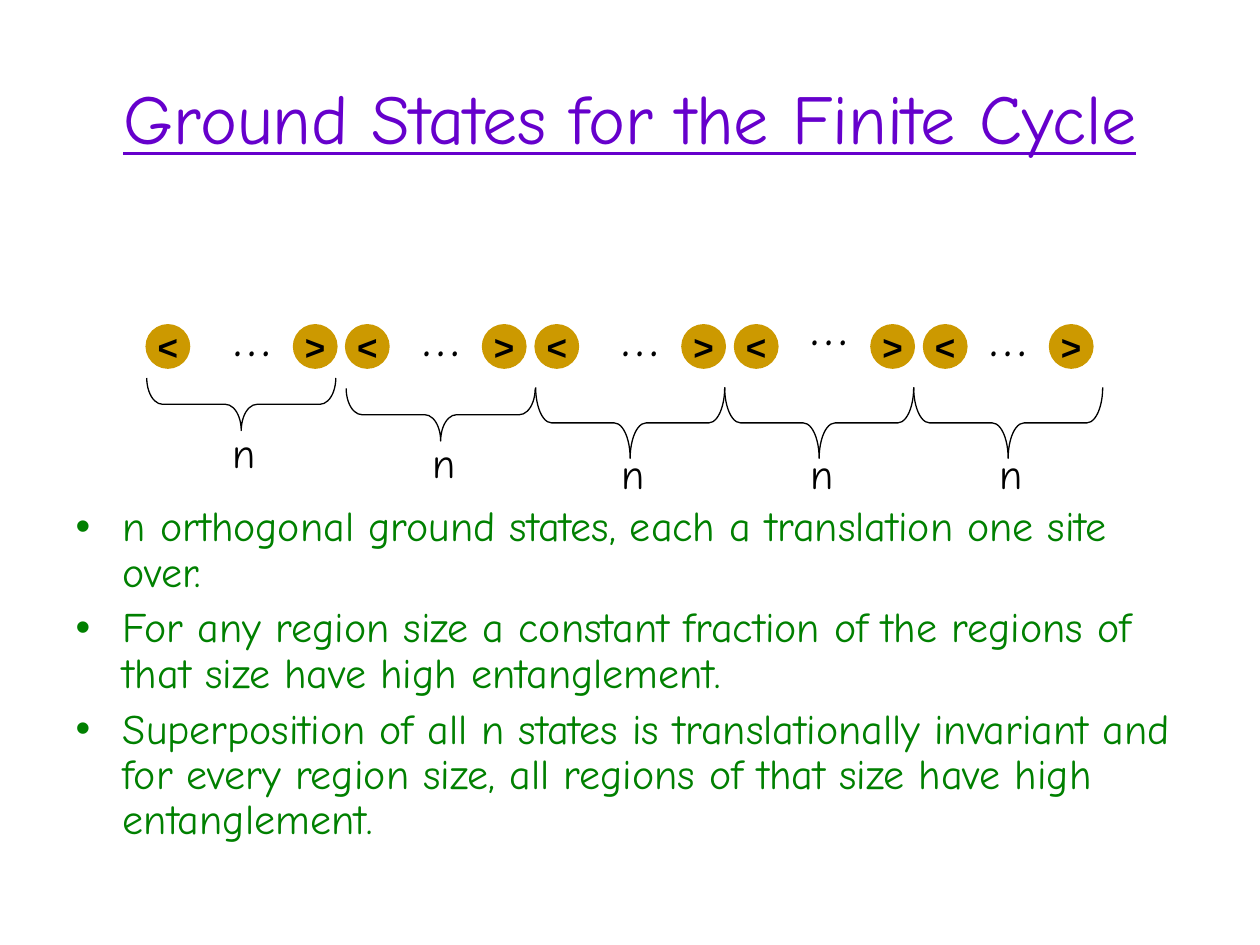
import pptx
import pptx.dml.color
import pptx.enum.shapes
import pptx.enum.text
import pptx.util

Cm = pptx.util.Cm
Pt = pptx.util.Pt
MSO_SHAPE = pptx.enum.shapes.MSO_SHAPE


def set_color(color_format, hex_string):
    color_format.rgb = pptx.dml.color.RGBColor.from_string(hex_string)


def write_text(shape, text, size, font_name="Comic Neue", color="000000"):
    shape.text_frame.text = text
    for paragraph in shape.text_frame.paragraphs:
        paragraph.font.size = Pt(size)
        paragraph.font.name = font_name
        set_color(paragraph.font.color, color)


presentation = pptx.Presentation()
presentation.slide_width = Cm(25.4)
presentation.slide_height = Cm(19.05)
slide = presentation.slides.add_slide(presentation.slide_layouts[1])
shapes = slide.shapes

title = shapes.title
title.left, title.top, title.width, title.height = Cm(1.27), Cm(0.76), Cm(22.86), Cm(3.18)
write_text(title, "Ground States for the Finite Cycle", 40, color="6600CC")
title.text_frame.paragraphs[0].font.underline = True

bullets = [
    "n orthogonal ground states, each a translation one site over.",
    "For any region size a constant fraction of the regions of that size have high entanglement.",
    "Superposition of all n states is translationally invariant and for every region size, "
    "all regions of that size have high entanglement.",
]
body = slide.placeholders[1]
body.left, body.top, body.width, body.height = Cm(1.27), Cm(4.45), Cm(22.86), Cm(13.34)
write_text(body, "\n".join(bullets), 24, color="008000")
body.text_frame.auto_size = pptx.enum.text.MSO_AUTO_SIZE.NONE
body.text_frame.margin_top = Cm(5.74)
for paragraph in body.text_frame.paragraphs:
    paragraph.line_spacing = 0.9
    paragraph.space_before = Pt(6)

site_size = 0.85
brace_length = 3.81
brace_curve = 0.32
segments = [
    # open, close, dots left, dots top, brace left, brace top, brace depth, label top
    (2.96, 5.93, 4.45, 5.93, 2.96, 7.62, 1.06, 8.47),
    (6.98, 9.74, 8.26, 5.93, 6.98, 7.83, 1.06, 8.68),
    (10.8, 13.76, 12.28, 5.93, 10.8, 7.81, 1.43, 8.89),
    (14.82, 17.57, 16.09, 5.72, 14.61, 7.81, 1.43, 8.89),
    (18.63, 21.17, 19.69, 5.93, 18.42, 7.81, 1.43, 8.89),
]
for (open_left, close_left, dots_left, dots_top,
     brace_left, brace_top, brace_depth, label_top) in segments:
    for symbol, left in (("<", open_left), (">", close_left)):
        site = shapes.add_shape(MSO_SHAPE.OVAL, Cm(left), Cm(6.56), Cm(site_size), Cm(site_size))
        site.shadow.inherit = False
        site.fill.solid()
        set_color(site.fill.fore_color, "CC9900")
        set_color(site.line.color, "CC9900")
        site.line.width = Pt(1.5)
        write_text(site, symbol, 20, "Arial")
        site.text_frame.word_wrap = False
        site.text_frame.paragraphs[0].font.bold = True
        site.text_frame.paragraphs[0].alignment = pptx.enum.text.PP_ALIGN.CENTER

    dots = shapes.add_textbox(Cm(dots_left), Cm(dots_top), Cm(1.25), Cm(1.63))
    write_text(dots, "…", 32)

    brace_center = brace_left + brace_length / 2
    brace = shapes.add_shape(
        MSO_SHAPE.LEFT_BRACE,
        Cm(brace_center - brace_depth / 2),
        Cm(brace_top + brace_depth / 2 - brace_length / 2),
        Cm(brace_depth), Cm(brace_length))
    brace.rotation = 270
    brace.adjustments[0] = brace_curve / brace_depth
    brace.shadow.inherit = False
    brace.fill.background()
    set_color(brace.line.color, "000000")
    brace.line.width = Pt(0.75)

    label = shapes.add_textbox(Cm(brace_center - 0.42), Cm(label_top), Cm(0.95), Cm(1.27))
    write_text(label, "n", 24)
    label.text_frame.word_wrap = True

presentation.save("out.pptx")
